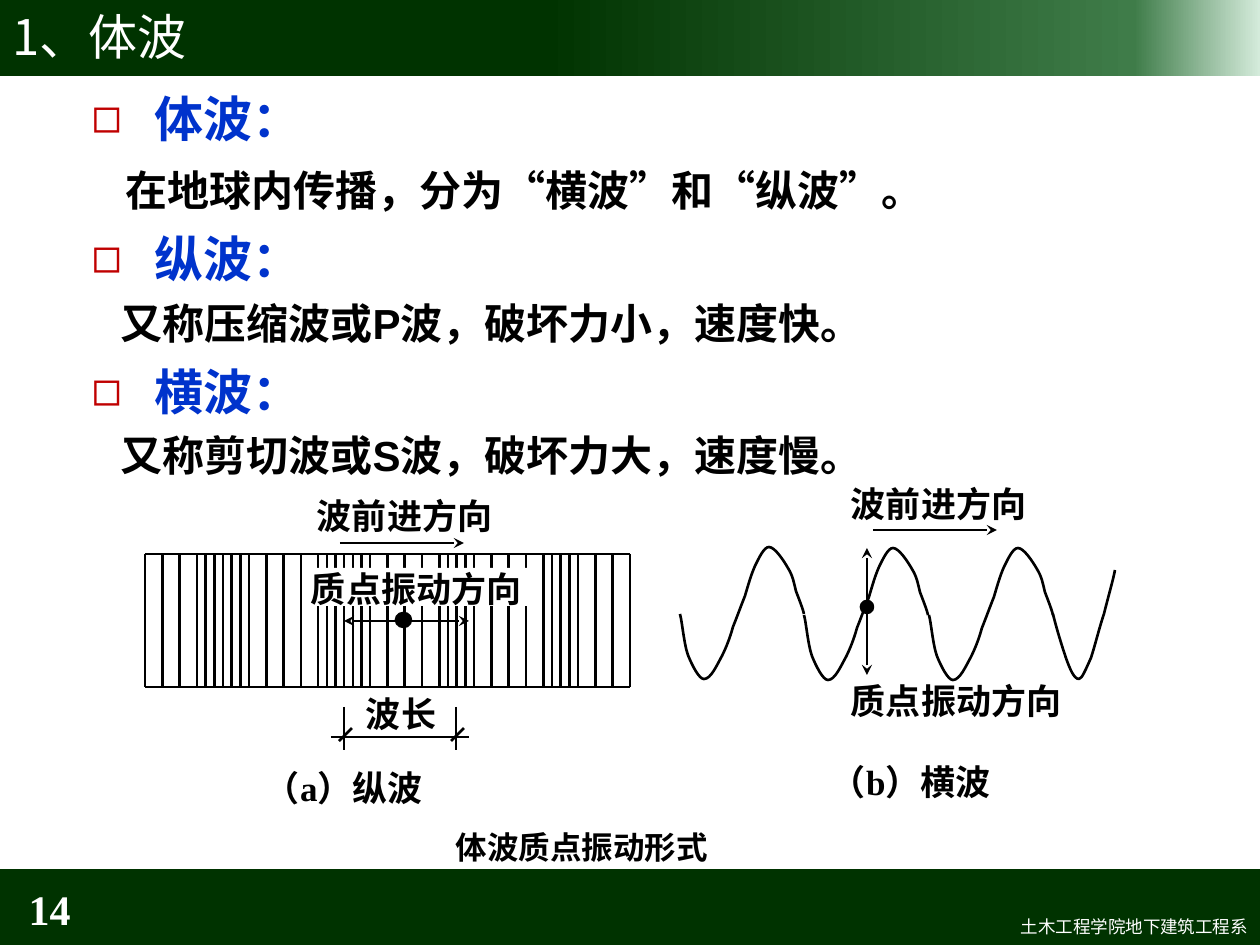
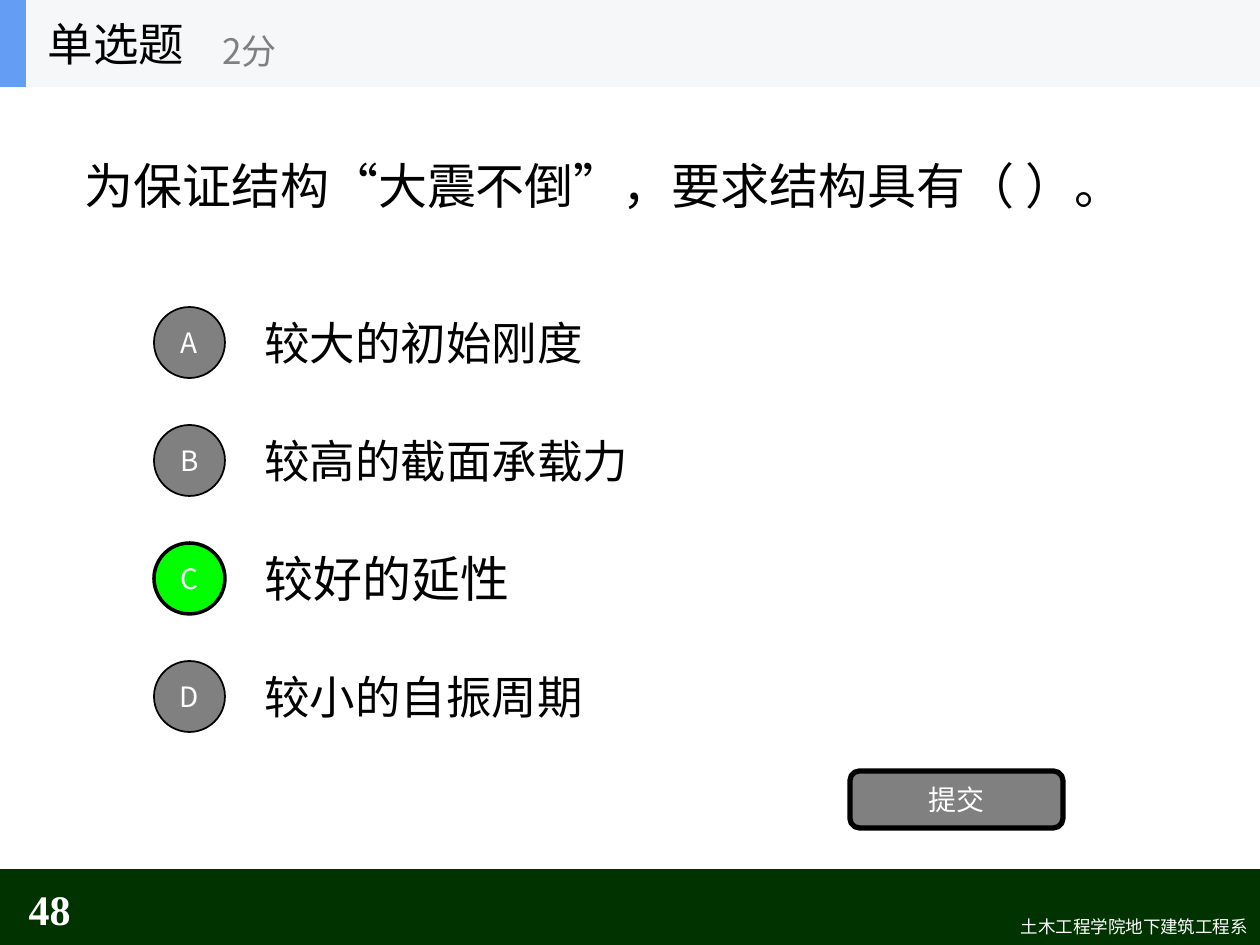
from dataclasses import dataclass

from lxml.etree import SubElement
from pptx import Presentation
from pptx.dml.color import RGBColor
from pptx.enum.shapes import MSO_CONNECTOR, MSO_SHAPE
from pptx.enum.text import MSO_ANCHOR, MSO_AUTO_SIZE, PP_ALIGN
from pptx.oxml.ns import qn
from pptx.util import Emu, Pt

PX_PER_INCH = 126
SLIDE_W, SLIDE_H = 1260, 945


@dataclass(frozen=True)
class Style:
    size: int
    color: str
    font: str = "Noto Sans CJK SC"
    bold: bool = False


@dataclass(frozen=True)
class Theme:
    ink: str = "000000"
    green: str = "003300"
    title_gradient: tuple = ((43, "003300"), (90, "3F7C49"), (100, "D4EBDB"))
    bullet: str = "C00000"
    button: str = "808080"
    correct: str = "00FF00"
    quiz_band: str = "F6F7F8"
    quiz_accent: str = "639EF4"
    white: str = "FFFFFF"
    east_asian: str = "Noto Sans CJK SC"
    title: Style = Style(28, "FFFFFF")
    footer: Style = Style(10, "FFFFFF")
    number: Style = Style(24, "FFFFFF", "Times New Roman", True)
    term: Style = Style(28, "0033CC", "Arial", True)
    meaning: Style = Style(24, "000000", "Arial", True)
    label: Style = Style(20, "000000", "Times New Roman", True)
    caption: Style = Style(18, "000000", "Times New Roman", True)
    question: Style = Style(28, "000000", "Times New Roman")
    option: Style = Style(26, "000000")
    points: Style = Style(20, "808080")
    button_text: Style = Style(16, "FFFFFF")


THEME = Theme()

# Content
FOOTER = "土木工程学院地下建筑工程系"
WAVE_TITLE = "1、体波"
# term, meaning, indent of the meaning (px), line height of the meaning (pt)
WAVE_TERMS = [
    ("体波：", "在地球内传播，分为“横波”和“纵波”。", 34, 39),
    ("纵波：", "又称压缩波或P波，破坏力小，速度快。", 29, 35),
    ("横波：", "又称剪切波或S波，破坏力大，速度慢。", 29, 34),
]
TERM_LINE = 41
WAVE_LABELS = [
    ("波长", (366, 693, 83, 49)),
    ("波前进方向", (317, 495, 203, 48)),
    ("（a）纵波", (265, 767, 202, 48)),
    ("波前进方向", (851, 483, 203, 48)),
    ("质点振动方向", (851, 680, 237, 38)),
    ("（b）横波", (831, 761, 202, 48)),
]
VIBRATION_LABEL = ("质点振动方向", (311, 568, 231, 38))
FIGURE_CAPTION = ("体波质点振动形式", (456, 828, 400, 48))

QUIZ_TITLE, QUIZ_POINTS = "单选题", "2分"
QUESTION = "为保证结构“大震不倒”，要求结构具有（ ）。"
OPTIONS = [("A", "较大的初始刚度"), ("B", "较高的截面承载力"),
           ("C", "较好的延性"), ("D", "较小的自振周期")]
CORRECT = "C"
SUBMIT = "提交"

# Compression block: wavefronts stand on every second step, and on odd ones where dense
BLOCK_LEFT, BLOCK_RIGHT, BLOCK_TOP, BLOCK_BOTTOM = 145, 630, 554, 687
BLOCK_STEPS = 56
DENSE_STEPS = {7, 9, 11, 21, 23, 25, 35, 37, 47, 49}
WAVELENGTH_MARKS = [(344, 707, 344, 750), (456, 707, 456, 750), (331, 737, 469, 737),
                    (339, 741, 352, 728), (451, 741, 464, 728)]
# from, to, both ends pointed
ARROWS = [((344, 621, 469, 621), True), ((340, 543, 464, 543), False),
          ((867, 675, 867, 548), True), ((873, 530, 997, 530), False)]
PARTICLES = [(396, 613, 15, 14), (861, 601, 12, 12)]

# Bezier points: start, then two controls and an end per segment
WAVE_STARTS = [(0, 0), (124, 1), (249, 1)]
WAVE_CYCLE = [
    (680, 614), (682, 620), (684, 644), (688, 655), (692, 665), (699, 679), (704, 679),
    (711, 679), (717, 665), (722, 656), (726, 648), (730, 638), (733, 627),
    (737, 617), (741, 606), (745, 596), (748, 586), (751, 575), (755, 566),
    (759, 558), (764, 547), (769, 547), (775, 547), (784, 561), (788, 568),
    (793, 576), (794, 583), (796, 591), (799, 599), (803, 609), (804, 614),
]
WAVE_END = [
    (1053, 614), (1057, 630), (1062, 646), (1066, 658), (1070, 669), (1074, 679),
    (1079, 679), (1082, 679), (1086, 669), (1091, 658), (1095, 646), (1099, 629),
    (1104, 614), (1108, 598), (1114, 577), (1115, 570),
]


def px(length):
    return Emu(round(length * 914400 / PX_PER_INCH))


def rgb(color):
    return RGBColor.from_string(color)


def place(shape, box):
    shape.left, shape.top, shape.width, shape.height = map(px, box)


def write(shape, lines, styles, align=PP_ALIGN.LEFT, anchor=MSO_ANCHOR.MIDDLE, inset=None):
    """Fill a shape with one paragraph per line, each in its own style."""
    frame = shape.text_frame
    frame.text = "\n".join(lines)
    frame.word_wrap = True
    frame.auto_size = MSO_AUTO_SIZE.NONE
    frame.vertical_anchor = anchor
    if inset is not None:
        frame.margin_left = frame.margin_right = inset
        frame.margin_top = frame.margin_bottom = inset
    for paragraph, style in zip(frame.paragraphs, styles):
        paragraph.alignment = align
        paragraph.space_before = Pt(0)
        for run in paragraph.runs:
            run.font.size = Pt(style.size)
            run.font.bold = style.bold
            run.font.color.rgb = rgb(style.color)
            run.font.name = style.font
    for run_properties in shape.element.iter(qn("a:rPr")):
        SubElement(run_properties, qn("a:ea"), typeface=THEME.east_asian)


def indent(shape, margins):
    """Set (left margin, bullet) in px for each paragraph; a bullet hangs in its margin."""
    for paragraph, (margin, bulleted) in zip(shape.element.iter(qn("a:p")), margins):
        properties = paragraph.get_or_add_pPr()
        properties.set("marL", str(px(margin)))
        properties.set("indent", str(-px(margin) if bulleted else 0))
        if bulleted:
            color = SubElement(properties, qn("a:buClr"))
            SubElement(color, qn("a:srgbClr"), val=THEME.bullet)
            SubElement(properties, qn("a:buChar"), char="◻")
        else:
            SubElement(properties, qn("a:buNone"))


def add_text(slide, text, box, style, **layout):
    label = slide.shapes.add_textbox(*map(px, box))
    write(label, [text], [style], **layout)
    return label


def add_shape(slide, kind, box, fill, line_width=0):
    shape = slide.shapes.add_shape(kind, *map(px, box))
    shape.shadow.inherit = False
    shape.fill.solid()
    shape.fill.fore_color.rgb = rgb(fill)
    if line_width:
        outline(shape, line_width)
    else:
        shape.line.fill.background()
    return shape


def outline(shape, width=1.5):
    shape.line.color.rgb = rgb(THEME.ink)
    shape.line.width = Pt(width)


def add_line(slide, ends, arrows=()):
    line = slide.shapes.add_connector(MSO_CONNECTOR.STRAIGHT, *map(px, ends))
    outline(line)
    SubElement(line.element.spPr, qn("a:effectLst"))
    for end in arrows:
        SubElement(line.line._get_or_add_ln(), qn(end), type="stealth")


def add_curve(slide, points):
    """Draw a chain of cubic curves, turning each three line segments into one curve."""
    start, *rest = [(px(x), px(y)) for x, y in points]
    builder = slide.shapes.build_freeform(*start)
    builder.add_line_segments(rest, close=False)
    curve = builder.convert_to_shape()
    curve.shadow.inherit = False
    curve.fill.background()
    outline(curve)
    outline_points = next(curve.element.iter(qn("a:path")))
    segments = outline_points.findall(qn("a:lnTo"))
    for first in range(0, len(segments), 3):
        cubic = SubElement(outline_points, qn("a:cubicBezTo"))
        for segment in segments[first:first + 3]:
            cubic.append(segment[0])
            outline_points.remove(segment)


def dress_master(prs, slide):
    """Move the bands and the footer, drawn on a slide, to the back of the master."""
    top = add_shape(slide, MSO_SHAPE.RECTANGLE, (0, -4, SLIDE_W, 80), THEME.green)
    top.fill.gradient()
    top.fill.gradient_angle = 0
    stops = next(top.element.iter(qn("a:gsLst")))
    for stop in list(stops):
        stops.remove(stop)
    for position, color in THEME.title_gradient:
        stop = SubElement(stops, qn("a:gs"), pos=str(position * 1000))
        SubElement(stop, qn("a:srgbClr"), val=color)
    bottom = add_shape(slide, MSO_SHAPE.RECTANGLE, (0, 869, SLIDE_W, 80), THEME.green)
    footer = add_text(slide, FOOTER, (530, 910, 730, 34), THEME.footer,
                      align=PP_ALIGN.RIGHT, anchor=MSO_ANCHOR.TOP)
    for position, part in enumerate((top, bottom, footer), start=2):
        prs.slide_master.shapes.element.insert(position, part.element)


def add_slide(prs, number):
    slide = prs.slides.add_slide(prs.slide_layouts[1])
    add_text(slide, number, (0, 884, 83, 50), THEME.number, align=PP_ALIGN.RIGHT)
    return slide


def build_body_waves(slide):
    title, body = slide.placeholders
    place(title, (0, -4, SLIDE_W, 79))
    write(title, [WAVE_TITLE], [THEME.title])
    place(body, (79, 69, 1101, 479))
    lines, margins, heights = [], [], []
    for term, meaning, margin, height in WAVE_TERMS:
        lines += [term, meaning]
        margins += [(63, True), (margin, False)]
        heights += [TERM_LINE, height]
    write(body, lines, [THEME.term, THEME.meaning] * len(WAVE_TERMS), anchor=MSO_ANCHOR.TOP)
    for paragraph, height in zip(body.text_frame.paragraphs, heights):
        paragraph.line_spacing = Pt(height)
    indent(body, margins)

    for edge in (BLOCK_TOP, BLOCK_BOTTOM):
        add_line(slide, (BLOCK_LEFT, edge, BLOCK_RIGHT, edge))
    for step in range(BLOCK_STEPS + 1):
        if step % 2 == 0 or step in DENSE_STEPS:
            x = BLOCK_LEFT + (BLOCK_RIGHT - BLOCK_LEFT) * step / BLOCK_STEPS
            add_line(slide, (x, BLOCK_TOP, x, BLOCK_BOTTOM))
    text, box = VIBRATION_LABEL
    vibration = add_text(slide, text, box, THEME.label, anchor=MSO_ANCHOR.TOP, inset=0)
    vibration.fill.solid()
    vibration.fill.fore_color.rgb = rgb(THEME.white)
    for mark in WAVELENGTH_MARKS:
        add_line(slide, mark)

    for right, down in WAVE_STARTS:
        add_curve(slide, [(x + right, y + down) for x, y in WAVE_CYCLE])
    add_curve(slide, WAVE_END)
    for ends, both in ARROWS:
        add_line(slide, ends, ("a:headEnd", "a:tailEnd") if both else ("a:tailEnd",))
    for box in PARTICLES:
        add_shape(slide, MSO_SHAPE.OVAL, box, THEME.ink, 1.5)
    for text, box in WAVE_LABELS:
        add_text(slide, text, box, THEME.label, anchor=MSO_ANCHOR.TOP, inset=0)
    text, box = FIGURE_CAPTION
    add_text(slide, text, box, THEME.caption, anchor=MSO_ANCHOR.TOP, inset=0)


def build_quiz(slide):
    title, question = slide.placeholders
    add_shape(slide, MSO_SHAPE.RECTANGLE, (0, 0, SLIDE_W, 87), THEME.quiz_band)
    add_shape(slide, MSO_SHAPE.RECTANGLE, (0, 0, 26, 87), THEME.quiz_accent)
    slide.shapes.element.append(title.element)  # in front of its band
    place(title, (35, 0, 262, 87))
    write(title, [QUIZ_TITLE], [THEME.option])
    add_text(slide, QUIZ_POINTS, (210, 15, 315, 71), THEME.points)
    place(question, (72, 96, 1116, 178))
    write(question, [QUESTION], [THEME.question])
    indent(question, [(0, False)])

    for row, (letter, answer) in enumerate(OPTIONS):
        top = 298 + 118 * row
        correct = letter == CORRECT
        add_text(slide, answer, (252, top, 882, 88),
                 THEME.question if correct else THEME.option)
        badge = add_shape(slide, MSO_SHAPE.OVAL, (154, top + 9, 71, 71),
                          THEME.correct if correct else THEME.button, 2 if correct else 1)
        write(badge, [letter], [THEME.button_text], align=PP_ALIGN.CENTER)
    submit = add_shape(slide, MSO_SHAPE.ROUNDED_RECTANGLE, (850, 771, 213, 57),
                       THEME.button, 3)
    write(submit, [SUBMIT], [THEME.button_text], align=PP_ALIGN.CENTER)


def main():
    prs = Presentation()
    prs.slide_width, prs.slide_height = px(SLIDE_W), px(SLIDE_H)
    body_waves = add_slide(prs, "14")
    dress_master(prs, body_waves)
    build_body_waves(body_waves)
    build_quiz(add_slide(prs, "48"))
    prs.save("out.pptx")


if __name__ == "__main__":
    main()
